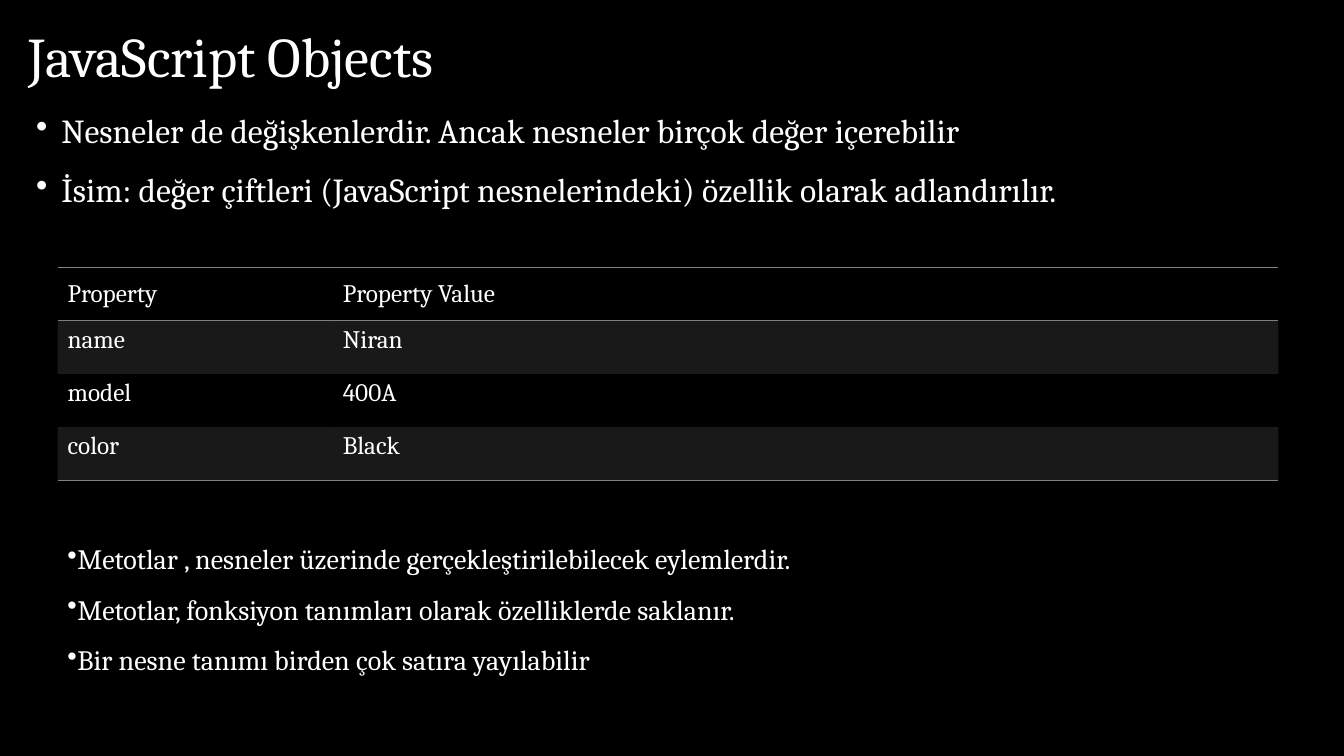
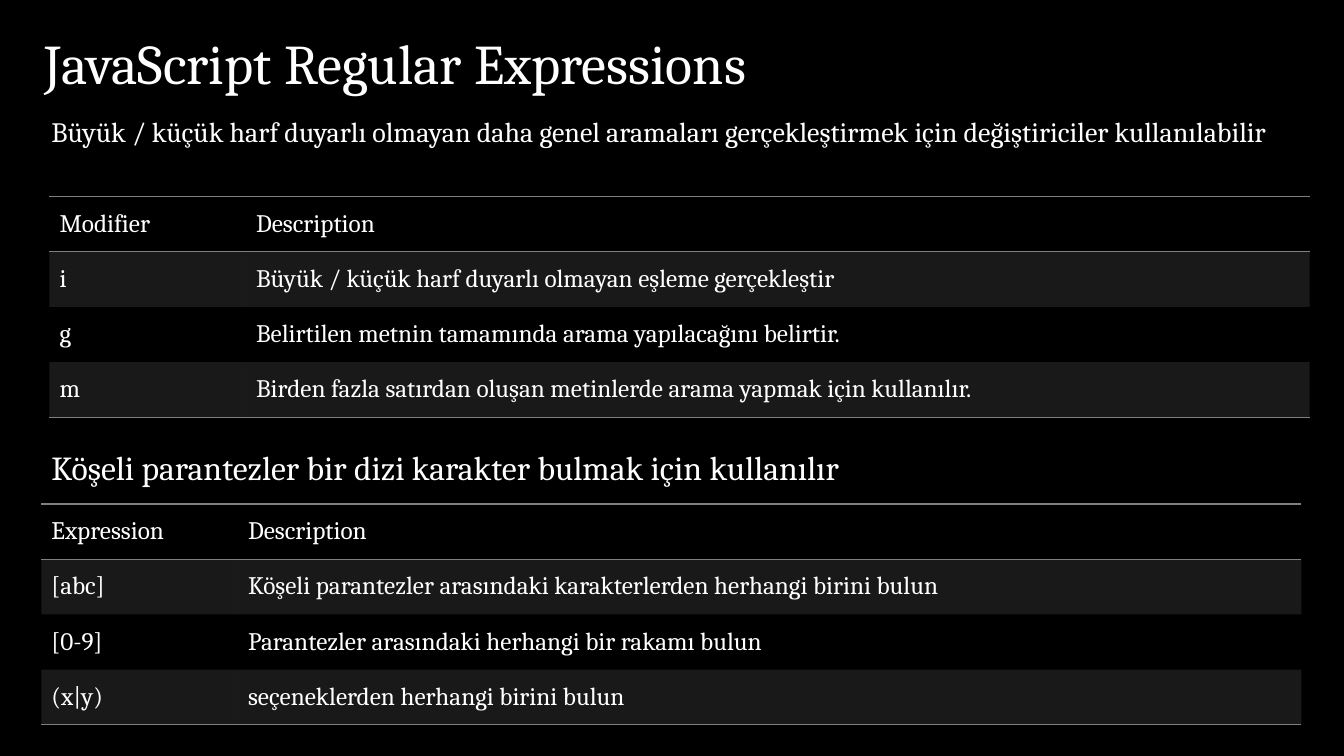
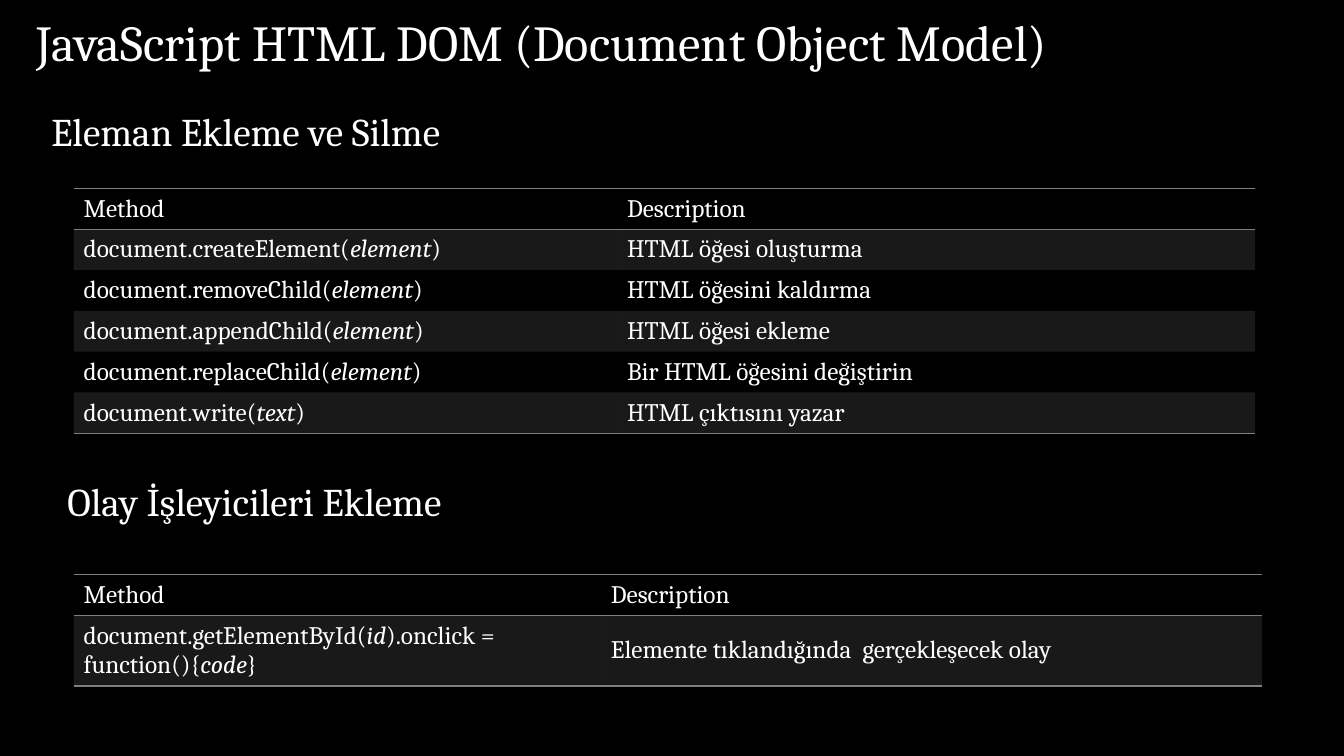
import pptx
import pptx.dml.color
import pptx.enum.text
import pptx.oxml
import pptx.oxml.ns
import pptx.util

RGB = pptx.dml.color.RGBColor
ANCHOR = pptx.enum.text.MSO_ANCHOR
Pt = pptx.util.Pt
qn = pptx.oxml.ns.qn

BLACK = RGB(0x00, 0x00, 0x00)
WHITE = RGB(0xFF, 0xFF, 0xFF)
GREY = RGB(0x7F, 0x7F, 0x7F)
FACE = "Cambria"
BAND = 20  # percent opacity of a striped row
PLAIN = "{2D5ABB26-0587-4C30-8999-92F81FD0307C}"  # "No Style, No Grid"
WIDE = pptx.util.Inches(13.33)
HIGH = pptx.util.Inches(7.5)


def across(share):
    """Percent of the slide's width."""
    return round(WIDE * share / 100)


def down(share):
    """Percent of the slide's height."""
    return round(HIGH * share / 100)


def make(tag, inner="", **attrs):
    """Build one DrawingML element."""
    pairs = "".join(f' {key}="{val}"' for key, val in attrs.items())
    space = pptx.oxml.ns.nsdecls("a")
    return pptx.oxml.parse_xml(f"<a:{tag} {space}{pairs}>{inner}</a:{tag}>")


def write(para, text, size):
    """Fill a paragraph; text between asterisks is italic."""
    para.font.name = FACE
    para.font.size = Pt(size)
    para.font.color.rgb = WHITE
    for num, part in enumerate(text.split("*")):
        run = para.add_run()
        run.text = part
        if num % 2:
            run.font.italic = True


def bullet(para, hang):
    props = para.font._element.getparent()
    props.set("marL", str(hang))
    props.set("indent", str(-hang))
    props.find(qn("a:defRPr")).addprevious(make("buChar", char="•"))


def add_slide(prs, title, box, size=40):
    slide = prs.slides.add_slide(prs.slide_layouts[5])
    shape = slide.shapes.title
    left, top, width, height = box
    shape.left, shape.top = across(left), down(top)
    shape.width, shape.height = across(width), down(height)
    frame = shape.text_frame
    frame.auto_size = pptx.enum.text.MSO_AUTO_SIZE.NONE
    frame.word_wrap = True
    frame.vertical_anchor = ANCHOR.BOTTOM
    para = frame.paragraphs[0]
    para.alignment = pptx.enum.text.PP_ALIGN.LEFT
    para.line_spacing = 0.8
    write(para, title, size)
    return slide


def add_text(slide, lines, box, size, lead=1.0, gap=0, hang=None):
    """Add a text box; a hang, even of zero, turns the bullets on."""
    left, top, width, height = box
    shape = slide.shapes.add_textbox(
        across(left), down(top), across(width), down(height))
    frame = shape.text_frame
    frame.word_wrap = True
    for num, line in enumerate(lines):
        para = frame.add_paragraph() if num else frame.paragraphs[0]
        para.line_spacing = lead
        para.space_before = Pt(gap)
        write(para, line, size)
        if hang is not None:
            bullet(para, hang)


def rule(cell, sides):
    """Draw thin grey lines on the sides named, T before B."""
    props = cell._tc.get_or_add_tcPr()
    ink = f'<a:solidFill><a:srgbClr val="{GREY}"/></a:solidFill>'
    for side in reversed(sides):
        props.insert(0, make("ln" + side, ink, w=Pt(1)))


def shade(cell, band):
    if not band:
        cell.fill.background()
        return
    cell.fill.solid()
    cell.fill.fore_color.rgb = GREY
    tint = cell._tc.tcPr.find(".//" + qn("a:srgbClr"))
    tint.append(make("alpha", val=BAND * 1000))


def add_table(slide, rows, spot, cols, high, anchor=ANCHOR.MIDDLE):
    """Add a ruled table; anchor places the text below the header."""
    frame = slide.shapes.add_table(
        len(rows), len(cols), across(spot[0]), down(spot[1]),
        across(sum(cols)), down(high * len(rows)))
    table = frame.table
    table.first_row = table.horz_banding = False
    table._tbl.tblPr.find(qn("a:tableStyleId")).text = PLAIN
    for col, share in zip(table.columns, cols):
        col.width = across(share)
    for num, row in enumerate(rows):
        table.rows[num].height = down(high)
        for pos, text in enumerate(row):
            cell = table.cell(num, pos)
            cell.vertical_anchor = anchor if num else ANCHOR.MIDDLE
            write(cell.text_frame.paragraphs[0], text, 18)
            shade(cell, num % 2)
            if num == 0:
                rule(cell, "TB")
            elif num == len(rows) - 1:
                rule(cell, "B")


def show_objects(prs):
    slide = add_slide(prs, "JavaScript Objects", (1.35, 3.07, 78.75, 9.33))
    add_text(slide, [
        "Nesneler de değişkenlerdir. Ancak nesneler birçok değer içerebilir",
        "İsim: değer çiftleri (JavaScript nesnelerindeki) özellik olarak adlandırılır.",
    ], (1.95, 14.53, 95.5, 18), 24, lead=0.9, gap=16, hang=pptx.util.Inches(0.25))
    add_table(slide, [
        ("Property", "Property Value"),
        ("name", "Niran"),
        ("model", "400A"),
        ("color", "Black"),
    ], (4.28, 35.4), (20.48, 70.35), 7.03, ANCHOR.TOP)
    add_text(slide, [
        "Metotlar , nesneler üzerinde gerçekleştirilebilecek eylemlerdir.",
        "Metotlar, fonksiyon tanımları olarak özelliklerde saklanır.",
        "Bir nesne tanımı birden çok satıra yayılabilir",
    ], (4.28, 68.8, 90.23, 21.6), 20, lead=1.5, hang=0)


def show_patterns(prs):
    slide = add_slide(prs, "JavaScript Regular Expressions",
                      (2.55, 3.07, 66.3, 10.13))
    left, cols, high = 3.08, (14.63, 79.13), 7.3
    add_table(slide, [
        ("Modifier", "Description"),
        ("i", "Büyük / küçük harf duyarlı olmayan eşleme gerçekleştir"),
        ("g", "Belirtilen metnin tamamında arama yapılacağını belirtir."),
        ("m", "Birden fazla satırdan oluşan metinlerde arama yapmak için kullanılır."),
    ], (left + 0.6, 26), cols, high)
    add_text(slide, [
        "Büyük / küçük harf duyarlı olmayan daha genel aramaları "
        "gerçekleştirmek için değiştiriciler kullanılabilir",
    ], (left, 14.53, 93.15, 10), 20)
    add_text(slide, ["Köşeli parantezler bir dizi karakter bulmak için kullanılır"],
             (left, 58.4, 69.15, 6.7), 24)
    add_table(slide, [
        ("Expression", "Description"),
        ("[abc]", "Köşeli parantezler arasındaki karakterlerden herhangi birini bulun"),
        ("[0-9]", "Parantezler arasındaki herhangi bir rakamı bulun"),
        ("(x|y)", "seçeneklerden herhangi birini bulun"),
    ], (left, 66.67), cols, high)


def show_dom(prs):
    slide = add_slide(prs, "JavaScript HTML DOM (Document Object Model)",
                      (1.95, 2.13, 94.35, 8), 36)
    left, high, head = 5.48, 5.4, ("Method", "Description")
    add_text(slide, ["Eleman Ekleme ve Silme"], (3.08, 13.6, 94.95, 7.6), 28)
    add_table(slide, [
        head,
        ("document.createElement(*element*)", "HTML öğesi oluşturma"),
        ("document.removeChild(*element*)", "HTML öğesini kaldırma"),
        ("document.appendChild(*element*)", "HTML öğesi ekleme"),
        ("document.replaceChild(*element*)", "Bir HTML öğesini değiştirin"),
        ("document.write(*text*)", "HTML çıktısını yazar"),
    ], (left, 24.93), (40.43, 47.48), high)
    add_text(slide, ["Olay İşleyicileri Ekleme"], (4.28, 62.53, 90.83, 7.6), 28)
    add_table(slide, [
        head,
        ("document.getElementById(*id*).onclick = function(){*code*}",
         "Elemente tıklandığında  gerçekleşecek olay"),
    ], (left, 76), (39.23, 49.2), high)


def main():
    prs = pptx.Presentation()
    prs.slide_width, prs.slide_height = WIDE, HIGH
    back = prs.slide_master.background.fill
    back.solid()
    back.fore_color.rgb = BLACK
    show_objects(prs)
    show_patterns(prs)
    show_dom(prs)
    prs.save("out.pptx")


if __name__ == "__main__":
    main()
